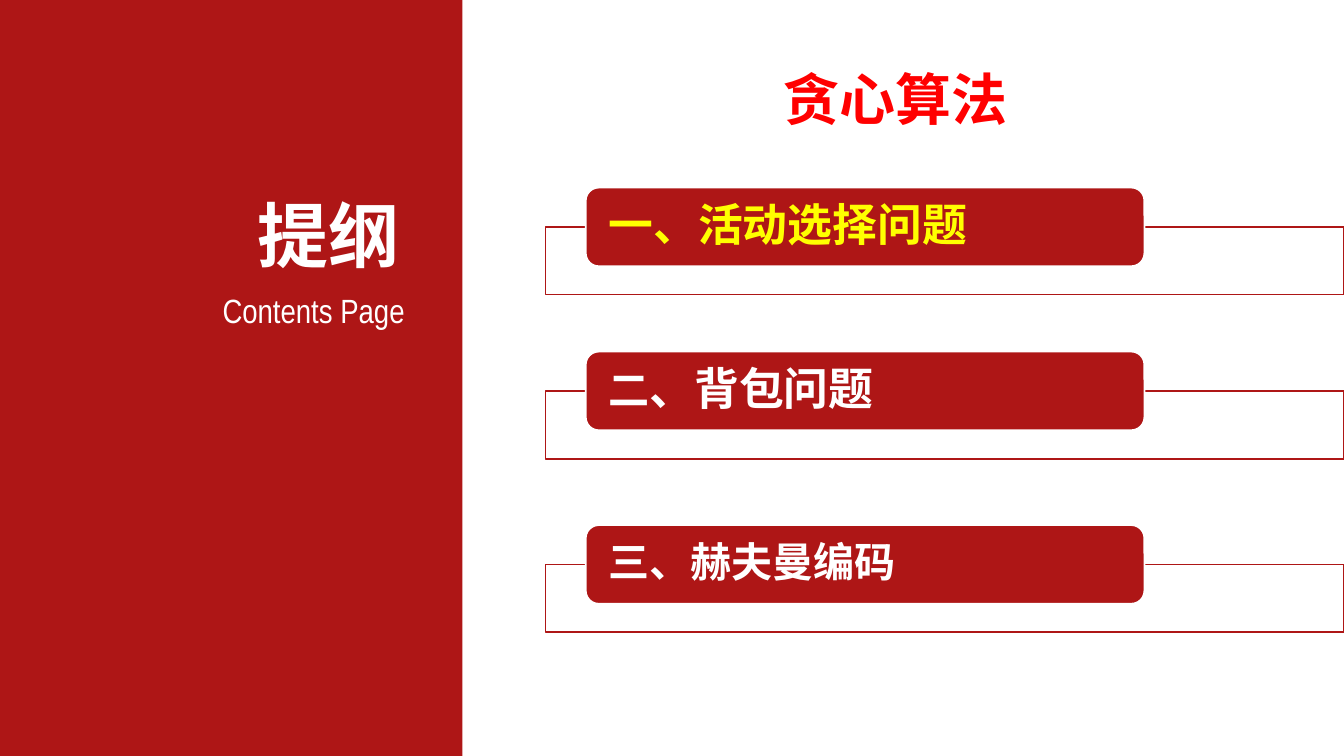
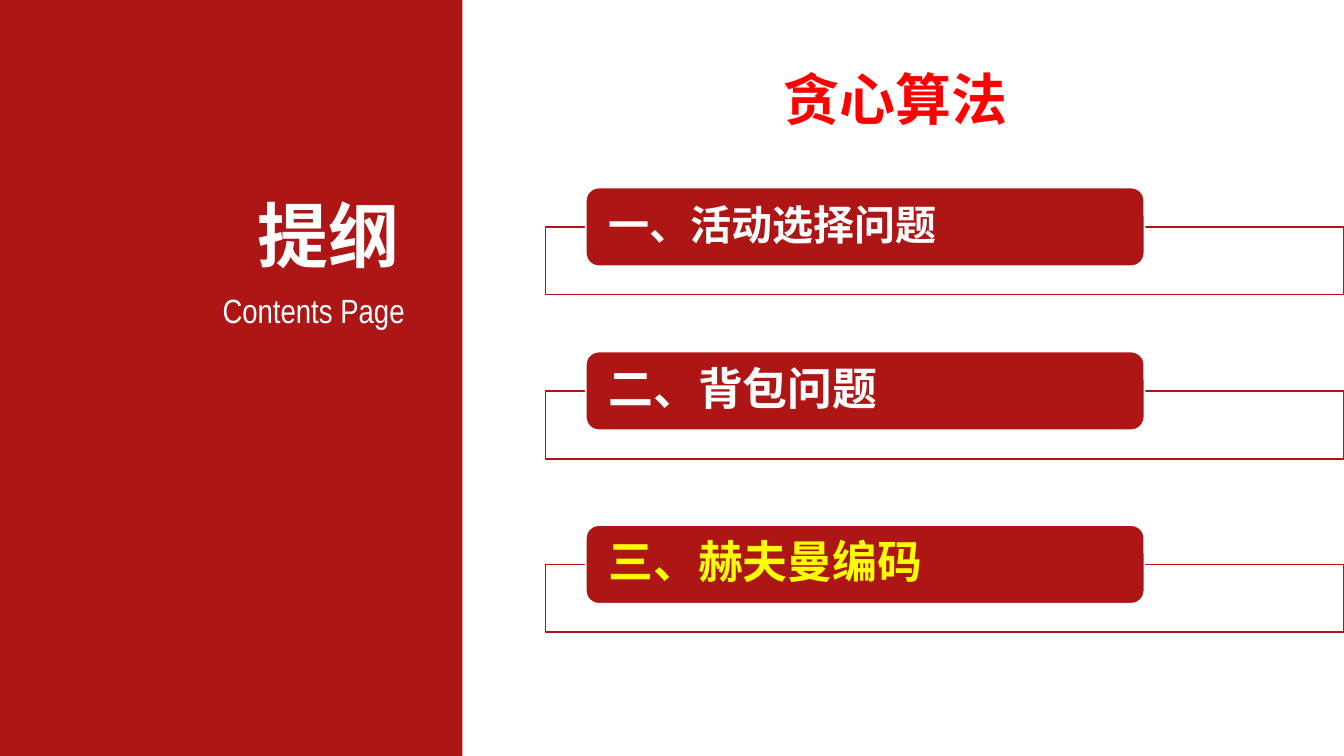
from dataclasses import dataclass

from lxml.etree import SubElement
from pptx import Presentation
from pptx.dml.color import RGBColor
from pptx.enum.shapes import MSO_SHAPE
from pptx.enum.text import MSO_ANCHOR, MSO_AUTO_SIZE, PP_ALIGN
from pptx.oxml.ns import qn
from pptx.util import Cm, Pt


@dataclass(frozen=True)
class Theme:
    red: RGBColor = RGBColor(0xAE, 0x16, 0x16)
    title_red: RGBColor = RGBColor(0xFF, 0, 0)
    white: RGBColor = RGBColor(0xFF, 0xFF, 0xFF)
    yellow: RGBColor = RGBColor(0xFF, 0xFF, 0)
    heading_font: str = "Arial"
    caption_font: str = "Arial Narrow"
    topic_font: str = "Cabin"
    chinese_font: str = "Noto Sans CJK SC"
    heading_size: int = 38
    title_size: int = 30
    caption_size: int = 18
    topic_size: int = 24
    small_topic_size: int = 22


THEME = Theme()
SLIDE_WIDTH, SLIDE_HEIGHT = 25.4, 14.29
BAND_WIDTH = 8.74
FRAME_LEFT, FRAME_HEIGHT = 10.31, 1.28
FRAME_TOPS = (4.29, 7.39, 10.67)
BAR_LEFT, BAR_WIDTH, BAR_HEIGHT = 11.07, 10.56, 1.49


@dataclass(frozen=True)
class Topic:
    text: str
    size: int = THEME.small_topic_size
    font: str = THEME.chinese_font
    color: RGBColor = THEME.white
    small_prefix: str = ""


class OutlineDeck:
    def __init__(self, theme):
        self.theme = theme
        self.presentation = Presentation()
        self.presentation.slide_width = Cm(SLIDE_WIDTH)
        self.presentation.slide_height = Cm(SLIDE_HEIGHT)
        self.slide = None

    def new_slide(self):
        blank = self.presentation.slide_layouts[6]
        self.slide = self.presentation.slides.add_slide(blank)

    def panel(self, kind, box, fill, line=None, opacity=None):
        panel = self.slide.shapes.add_shape(kind, *map(Cm, box))
        panel.shadow.inherit = False
        panel.fill.solid()
        panel.fill.fore_color.rgb = fill
        if opacity is not None:
            color = panel._element.spPr.find(f"{qn('a:solidFill')}/{qn('a:srgbClr')}")
            SubElement(color, qn("a:alpha"), val=str(opacity * 1000))
        if line is None:
            panel.line.fill.background()
        else:
            panel.line.color.rgb = line
            panel.line.width = Pt(1)
        return panel

    def fill_text(self, frame, parts, font, size, color, bold=True,
                  align=PP_ALIGN.LEFT, spacing=None, insets=None):
        frame.word_wrap = True
        if insets:
            frame.margin_left = frame.margin_right = Cm(insets[0])
            frame.margin_top = frame.margin_bottom = Cm(insets[1])
        paragraph = frame.paragraphs[0]
        paragraph.alignment = align
        paragraph.line_spacing = spacing
        paragraph.font.name = font
        paragraph.font.size = Pt(size)
        paragraph.font.bold = bold
        paragraph.font.color.rgb = color
        defaults = paragraph._p.pPr.find(qn("a:defRPr"))
        SubElement(defaults, qn("a:ea"), typeface=self.theme.chinese_font)
        for part in parts:
            paragraph.add_run().text = part
        return paragraph

    def text(self, box, words, **style):
        frame = self.slide.shapes.add_textbox(*map(Cm, box)).text_frame
        self.fill_text(frame, [words], **style)
        return frame

    def side_band(self):
        theme = self.theme
        self.panel(MSO_SHAPE.RECTANGLE, (0, 0, BAND_WIDTH, SLIDE_HEIGHT), theme.red)
        band_style = dict(color=theme.white, align=PP_ALIGN.RIGHT, insets=(0.19, 0.1))
        caption = self.text((0.86, 5.38, 6.98, 0.97), "Contents Page",
                            font=theme.caption_font, size=theme.caption_size,
                            bold=False, **band_style)
        heading = self.text((2.79, 3.53, 4.95, 1.83), "提纲",
                            font=theme.heading_font, size=theme.heading_size,
                            **band_style)
        for frame in (caption, heading):
            frame.auto_size = MSO_AUTO_SIZE.SHAPE_TO_FIT_TEXT

    def title(self, words):
        frame = self.text((BAND_WIDTH, 0, 16.38, 3.07), words,
                          font=self.theme.heading_font, size=self.theme.title_size,
                          color=self.theme.title_red, align=PP_ALIGN.CENTER, spacing=1.5)
        frame.vertical_anchor = MSO_ANCHOR.MIDDLE

    def topic(self, top, topic):
        theme = self.theme
        # Frame running to the right edge
        self.panel(MSO_SHAPE.RECTANGLE,
                   (FRAME_LEFT, top, SLIDE_WIDTH - FRAME_LEFT, FRAME_HEIGHT),
                   theme.white, theme.red, opacity=90)
        # Bar centred on the frame's top edge
        bar = self.panel(MSO_SHAPE.ROUNDED_RECTANGLE,
                         (BAR_LEFT, top - BAR_HEIGHT / 2, BAR_WIDTH, BAR_HEIGHT),
                         theme.red, theme.white)
        bar.text_frame.vertical_anchor = MSO_ANCHOR.MIDDLE
        parts = [part for part in (topic.small_prefix, topic.text) if part]
        paragraph = self.fill_text(bar.text_frame, parts, topic.font, topic.size,
                                   topic.color, spacing=0.9, insets=(0.36, 0.05))
        paragraph.space_after = Pt(8)
        if topic.small_prefix:
            paragraph.runs[0].font.size = Pt(theme.small_topic_size)

    def outline(self, title, topics):
        self.new_slide()
        self.side_band()
        self.title(title)
        for top, topic in zip(FRAME_TOPS, topics):
            self.topic(top, topic)


def main():
    deck = OutlineDeck(THEME)
    large = dict(size=THEME.topic_size, font=THEME.topic_font)
    current = dict(large, color=THEME.yellow)

    # Outline with the first topic current
    deck.outline("贪心算法", [
        Topic("一、活动选择问题", **current),
        Topic("、背包问题", size=THEME.topic_size, small_prefix="二"),
        Topic("三、赫夫曼编码"),
    ])

    # Outline with the third topic current
    deck.outline("贪心算法", [
        Topic("一、活动选择问题"),
        Topic("二、背包问题", **large),
        Topic("三、赫夫曼编码", **current),
    ])

    deck.presentation.save("out.pptx")


if __name__ == "__main__":
    main()
